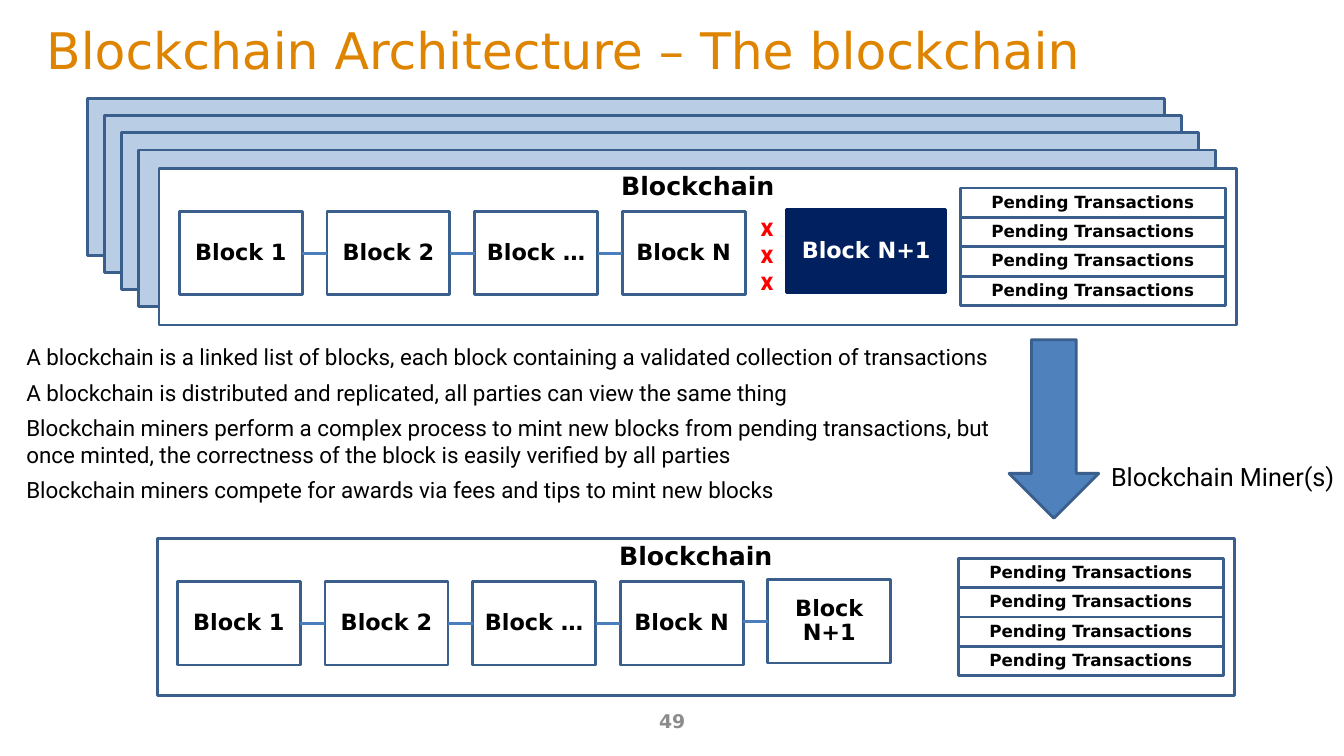
from dataclasses import dataclass

from lxml.etree import SubElement
from pptx import Presentation
from pptx.dml.color import RGBColor
from pptx.enum.shapes import MSO_CONNECTOR, MSO_SHAPE as Preset
from pptx.enum.text import MSO_ANCHOR as Anchor, MSO_AUTO_SIZE as AutoSize, PP_ALIGN as Align
from pptx.oxml.ns import qn
from pptx.util import Cm, Pt

TITLE = "Blockchain Architecture – The blockchain"
STATEMENTS = [
    "A blockchain is a linked list of blocks, each block containing a validated collection of transactions",
    "A blockchain is distributed and replicated, all parties can view the same thing",
    "Blockchain miners perform a complex process to mint new blocks from pending transactions, "
    "but once minted, the correctness of the block is easily verified by all parties",
    "Blockchain miners compete for awards via fees and tips to mint new blocks",
]
CHAIN_HEADING = "Blockchain"
BLOCKS = ["Block 1", "Block 2", "Block …", "Block N"]
NEW_BLOCK = "Block N+1"
PENDING = ["Pending Transactions"] * 4
MISSING_LINKS = ["x", "x", "x"]
MINERS = "Blockchain Miner(s)"
PAGE_NUMBER = "49"


@dataclass(frozen=True)
class Theme:
    heading_font: str = "DejaVu Sans"
    body_font: str = "Roboto"
    title: str = "DE8400"
    text: str = "000000"
    inverse: str = "FFFFFF"
    panel: str = "FFFFFF"
    replica: str = "B9CDE5"
    new_block: str = "002060"
    outline: str = "3A5F8C"
    link: str = "4B7EBC"
    arrow: str = "4F81BD"
    missing: str = "FF0000"
    page: str = "8C8C8C"
    title_size: float = 36
    label_size: float = 18
    body_size: float = 16
    pending_size: float = 12
    page_size: float = 13.5
    line_width: float = 2


THEME = Theme()

# Lengths in centimetres; offsets are measured from a panel's top left corner.
PANEL_WIDTH, PANEL_HEIGHT = 27.15, 3.94
UPPER_PANEL, LOWER_PANEL = (4.01, 4.25), (3.96, 13.58)
REPLICA_START, REPLICA_STEP, REPLICAS = (2.2, 2.49), 0.43, 4
BLOCK_OFFSET = (0.51, 1.08)
BLOCK_WIDTH, BLOCK_HEIGHT, BLOCK_PITCH = 3.1, 2.1, 3.72
NEW_BLOCK_RISE = 0.05
PENDING_OFFSET = (20.19, 0.49)
PENDING_WIDTH, PENDING_HEIGHT = 6.68, 0.74


def write(paragraph, text, size, color, font=THEME.heading_font, bold=False):
    run = paragraph.add_run()
    run.text = text
    run.font.name = font
    run.font.size = Pt(size)
    run.font.bold = bold
    run.font.color.rgb = RGBColor.from_string(color)


def add_box(slide, left, top, width, height, fill=None, line=THEME.outline, preset=Preset.RECTANGLE):
    shape = slide.shapes.add_shape(preset, Cm(left), Cm(top), Cm(width), Cm(height))
    shape.shadow.inherit = False
    if fill:
        shape.fill.solid()
        shape.fill.fore_color.rgb = RGBColor.from_string(fill)
    else:
        shape.fill.background()
    shape.line.color.rgb = RGBColor.from_string(line)
    shape.line.width = Pt(THEME.line_width)
    return shape


def label(shape, text, size, color=THEME.text, anchor=Anchor.MIDDLE):
    shape.text_frame.word_wrap = True
    shape.text_frame.vertical_anchor = anchor
    paragraph = shape.text_frame.paragraphs[0]
    paragraph.alignment = Align.CENTER
    paragraph.line_spacing = 0.9
    write(paragraph, text, size, color, bold=True)


def add_link(slide, block_left, middle):
    """Join a block to the one before it."""
    link = slide.shapes.add_connector(
        MSO_CONNECTOR.STRAIGHT,
        Cm(block_left - BLOCK_PITCH + BLOCK_WIDTH), Cm(middle), Cm(block_left), Cm(middle))
    link.line.color.rgb = RGBColor.from_string(THEME.link)
    link.line.width = Pt(THEME.line_width)
    SubElement(link._element.spPr, qn("a:effectLst"))


def add_chain(slide, panel_left, panel_top, minted):
    panel = add_box(slide, panel_left, panel_top, PANEL_WIDTH, PANEL_HEIGHT, THEME.panel)
    label(panel, CHAIN_HEADING, THEME.label_size, anchor=Anchor.TOP)
    first_left, block_top = panel_left + BLOCK_OFFSET[0], panel_top + BLOCK_OFFSET[1]
    names = BLOCKS + [NEW_BLOCK] if minted else BLOCKS
    for index, name in enumerate(names):
        left = first_left + index * BLOCK_PITCH
        top = block_top - (NEW_BLOCK_RISE if name == NEW_BLOCK else 0)
        block = add_box(slide, left, top, BLOCK_WIDTH, BLOCK_HEIGHT)
        label(block, name, THEME.body_size)
        if index:
            add_link(slide, left, top + BLOCK_HEIGHT / 2)
    if not minted:
        candidate = add_box(slide, panel_left + 15.82, block_top - NEW_BLOCK_RISE,
                            4, BLOCK_HEIGHT, THEME.new_block, THEME.new_block)
        label(candidate, NEW_BLOCK, THEME.body_size, THEME.inverse)
    for row, text in enumerate(PENDING):
        entry = add_box(slide, panel_left + PENDING_OFFSET[0],
                        panel_top + PENDING_OFFSET[1] + row * PENDING_HEIGHT,
                        PENDING_WIDTH, PENDING_HEIGHT)
        label(entry, text, THEME.pending_size)


def place(shape, left, top, width, height):
    shape.left, shape.top, shape.width, shape.height = Cm(left), Cm(top), Cm(width), Cm(height)


def add_title(slide):
    title = slide.shapes.title
    place(title, 0.91, 0.28, 30.38, 1.93)
    title.text_frame.auto_size = AutoSize.NONE
    title.text_frame.vertical_anchor = Anchor.MIDDLE
    paragraph = title.text_frame.paragraphs[0]
    paragraph.alignment = Align.LEFT
    write(paragraph, TITLE, THEME.title_size, THEME.title)


def add_statements(slide):
    body = slide.placeholders[1]
    place(body, 0.41, 8.53, 25.7, 5)
    frame = body.text_frame
    frame.auto_size = AutoSize.NONE
    for index, statement in enumerate(STATEMENTS):
        paragraph = frame.add_paragraph() if index else frame.paragraphs[0]
        properties = paragraph._p.get_or_add_pPr()
        properties.set("marL", "0")
        properties.set("indent", "0")
        SubElement(properties, qn("a:buNone"))
        paragraph.space_before = Pt(0)
        paragraph.space_after = Pt(6)
        write(paragraph, statement, THEME.body_size, THEME.text, THEME.body_font)


def add_text_box(slide, left, top, width, height, align):
    """Return the text frame and its first paragraph."""
    frame = slide.shapes.add_textbox(Cm(left), Cm(top), Cm(width), Cm(height)).text_frame
    frame.word_wrap = False
    frame.paragraphs[0].alignment = align
    return frame, frame.paragraphs[0]


def main():
    presentation = Presentation()
    presentation.slide_width, presentation.slide_height = Cm(33.87), Cm(19.05)
    slide = presentation.slides.add_slide(presentation.slide_layouts[1])
    add_title(slide)
    add_statements(slide)

    for index in range(REPLICAS):
        shift = index * REPLICA_STEP
        add_box(slide, REPLICA_START[0] + shift, REPLICA_START[1] + shift,
                PANEL_WIDTH, PANEL_HEIGHT, THEME.replica)
    add_chain(slide, *UPPER_PANEL, minted=False)
    add_chain(slide, *LOWER_PANEL, minted=True)
    add_box(slide, 25.43, 8.56, 2.26, 4.5, THEME.arrow, preset=Preset.DOWN_ARROW)

    _, paragraph = add_text_box(slide, 27.74, 11.58, 6.15, 0.97, Align.CENTER)
    paragraph.line_spacing = 0.9
    write(paragraph, MINERS, THEME.label_size, THEME.text, THEME.body_font)

    _, paragraph = add_text_box(slide, 18.92, 5.28, 0.86, 2.34, Align.LEFT)
    paragraph.line_spacing = 0.9
    for index, mark in enumerate(MISSING_LINKS):
        if index:
            paragraph.add_line_break()
        write(paragraph, mark, THEME.label_size, THEME.missing, THEME.body_font, bold=True)

    frame, paragraph = add_text_box(slide, 11.58, 17.65, 10.72, 1.02, Align.CENTER)
    frame.vertical_anchor = Anchor.MIDDLE
    write(paragraph, PAGE_NUMBER, THEME.page_size, THEME.page, bold=True)

    presentation.save("out.pptx")


if __name__ == "__main__":
    main()
